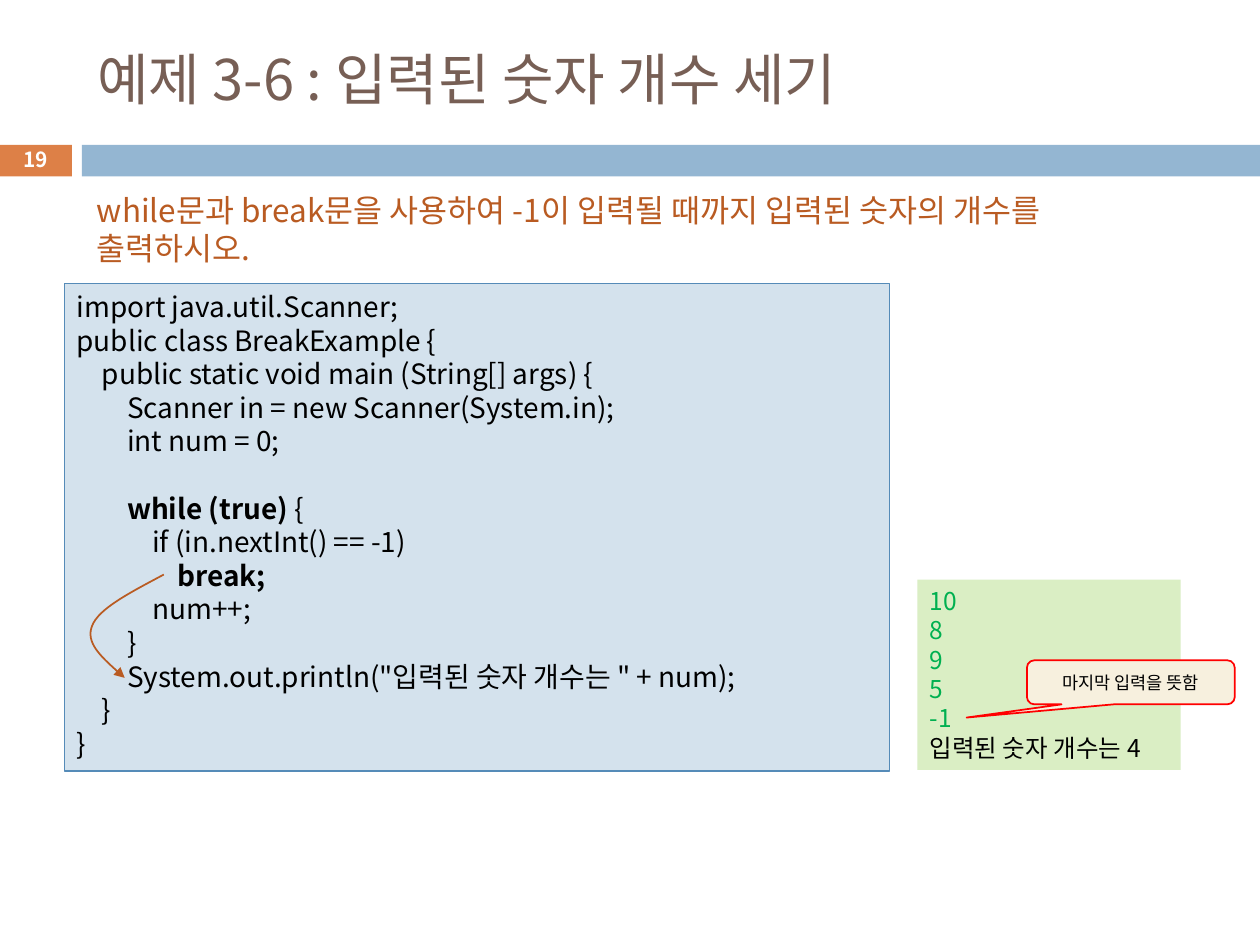
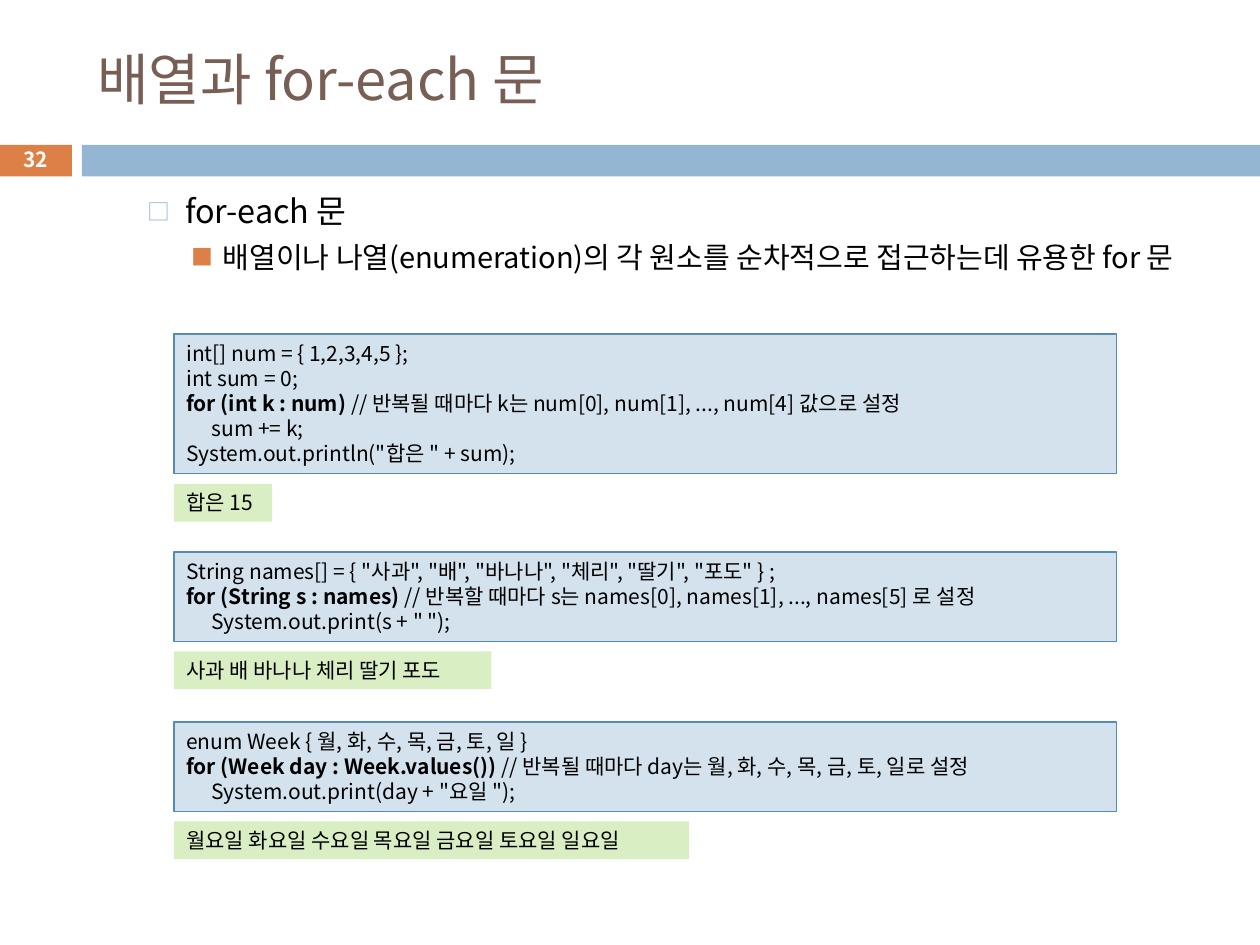
"""Builds two Java lecture slides on break and the for-each loop."""
from dataclasses import dataclass

from lxml import etree
from pptx import Presentation
from pptx import util as u
from pptx.dml import color
from pptx.enum import shapes, text
from pptx.oxml import ns

Inches = u.Inches


@dataclass(frozen=True)
class Theme:
    """Colours and type sizes of the deck."""
    font: str = "Noto Sans CJK KR"
    title: str = "775F55"
    orange: str = "DD8047"
    band: str = "94B6D2"
    accent: str = "B95B22"
    code_fill: str = "D4E2ED"
    code_line: str = "558BB8"
    output_fill: str = "DAEEC4"
    typed: str = "00B050"
    note_fill: str = "F7F0DE"
    note_line: str = "FF0000"
    black: str = "000000"
    white: str = "FFFFFF"
    title_size: float = 32
    task_size: float = 18
    heading_size: float = 18.5
    point_size: float = 16.6
    number_size: float = 11.9
    note_size: float = 10
    code_size: float = 16
    output_size: float = 14
    small_size: float = 12


def rgb(value):
    """Turn a hex string into a colour."""
    return color.RGBColor.from_string(value)


def apply(target, values):
    """Set attributes from a dict of format values."""
    for name, value in values.items():
        setattr(target, name, value)


def add_element(parent, tag, **attributes):
    """Append a drawing element with attributes."""
    return etree.SubElement(parent, ns.qn(tag), attributes)


class Deck:
    """Holds the theme and the current slide."""

    def __init__(self, theme):
        """Start an empty 4:3 presentation."""
        self.theme = theme
        self.presentation = Presentation()
        apply(self.presentation, {"slide_width": Inches(10), "slide_height": Inches(7.5)})

    def start_slide(self, title, number):
        """Add a slide with its bands, title and number."""
        theme = self.theme
        self.slide = self.presentation.slides.add_slide(self.presentation.slide_layouts[5])
        self.box((-0.01, 1.15, 0.58, 0.25), theme.orange)
        self.box((0.65, 1.15, 9.35, 0.25), theme.band)
        shape = self.slide.shapes.title
        self.place(shape, (0.67, 0.25, 8.92, 0.74))
        self.set_lines(shape, [title], theme.title_size, theme.title, anchor=text.MSO_ANCHOR.MIDDLE)
        self.label((-0.01, 1.13, 0.58, 0.27), [f"**{number}"], theme.number_size, theme.white,
                   text.PP_ALIGN.CENTER, text.MSO_ANCHOR.MIDDLE)

    def place(self, shape, area):
        """Move and size a shape in inches."""
        apply(shape, dict(zip(("left", "top", "width", "height"), map(Inches, area))))

    def set_lines(self, shape, lines, size, ink, align=text.PP_ALIGN.LEFT,
                  anchor=text.MSO_ANCHOR.TOP):
        """Fill a shape with lines, where ** switches bold."""
        frame = shape.text_frame
        apply(frame, {"word_wrap": True, "auto_size": text.MSO_AUTO_SIZE.NONE,
                      "vertical_anchor": anchor})
        for index, line in enumerate(lines):
            paragraph = frame.add_paragraph() if index else frame.paragraphs[0]
            paragraph.alignment = align
            for part, words in enumerate(line.split("**")):
                if words:
                    self.add_run(paragraph, words, size, ink, part % 2 == 1)
        return frame.paragraphs

    def add_run(self, paragraph, words, size, ink, bold=False):
        """Add one formatted run."""
        run = paragraph.add_run()
        run.text = words
        apply(run.font, {"name": self.theme.font, "size": u.Pt(size), "bold": bold})
        run.font.color.rgb = rgb(ink)
        add_element(run.font._element, "a:ea", typeface=self.theme.font)

    def label(self, area, lines, size, ink, *layout):
        """Add a text box."""
        shape = self.slide.shapes.add_textbox(*map(Inches, area))
        self.set_lines(shape, lines, size, ink, *layout)

    def box(self, area, fill, line=None, width=0.75, kind=shapes.MSO_SHAPE.RECTANGLE):
        """Add a flat preset shape."""
        shape = self.slide.shapes.add_shape(kind, *map(Inches, area))
        shape.shadow.inherit = False
        shape.fill.solid()
        shape.fill.fore_color.rgb = rgb(fill)
        if line:
            shape.line.color.rgb = rgb(line)
            shape.line.width = u.Pt(width)
        else:
            shape.line.fill.background()
        return shape

    def code(self, area, lines, size):
        """Add a code panel with tab stops every 0.2 inches."""
        shape = self.box(area, self.theme.code_fill, self.theme.code_line)
        for paragraph in self.set_lines(shape, lines, size, self.theme.black):
            stops = add_element(paragraph._p.get_or_add_pPr(), "a:tabLst")
            for step in range(1, 5):
                add_element(stops, "a:tab", pos=str(Inches(0.2 * step)), algn="l")

    def output(self, area, lines, size, typed=()):
        """Add a console panel with typed input above printed lines."""
        shape = self.box(area, self.theme.output_fill)
        paragraphs = self.set_lines(shape, [*typed, *lines], size, self.theme.black)
        for paragraph in paragraphs[:len(typed)]:
            paragraph.runs[0].font.color.rgb = rgb(self.theme.typed)

    def callout(self, area, words, adjustments):
        """Add a rounded speech callout."""
        theme = self.theme
        shape = self.box(area, theme.note_fill, theme.note_line, 1,
                         shapes.MSO_SHAPE.ROUNDED_RECTANGULAR_CALLOUT)
        for index, value in enumerate(adjustments):
            shape.adjustments[index] = value
        self.set_lines(shape, [words], theme.note_size, theme.black,
                       text.PP_ALIGN.CENTER, text.MSO_ANCHOR.MIDDLE)

    def curved_arrow(self, start, *controls):
        """Draw a chain of Bezier curves ending in an arrowhead."""
        builder = self.slide.shapes.build_freeform(*map(Inches, start), scale=1.0)
        builder.add_line_segments([tuple(map(Inches, point)) for point in controls], close=False)
        shape = builder.convert_to_shape()
        shape.shadow.inherit = False
        shape.fill.background()
        shape.line.color.rgb = rgb(self.theme.accent)
        shape.line.width = u.Pt(1)
        add_element(shape.line._get_or_add_ln(), "a:tailEnd", type="triangle")
        outline = next(shape._element.iter(ns.qn("a:path")))
        segments = outline.findall(ns.qn("a:lnTo"))
        for index in range(0, len(segments), 3):
            curve = add_element(outline, "a:cubicBezTo")
            for segment in segments[index:index + 3]:
                curve.append(segment[0])
                outline.remove(segment)

    def bullets(self, area, items):
        """Add bulleted lines, one level deeper each."""
        frame = self.slide.shapes.add_textbox(*map(Inches, area)).text_frame
        frame.word_wrap = True
        for index, (words, size, symbol, ink, percent, margin, indent, space) in enumerate(items):
            paragraph = frame.add_paragraph() if index else frame.paragraphs[0]
            properties = paragraph._p.get_or_add_pPr()
            apply(paragraph, {"level": index + 1, "space_before": u.Pt(space)})
            properties.set("marL", str(Inches(margin)))
            properties.set("indent", str(Inches(indent)))
            add_element(add_element(properties, "a:buClr"), "a:srgbClr", val=ink)
            add_element(properties, "a:buSzPct", val=str(percent * 1000))
            add_element(properties, "a:buFont", typeface=self.theme.font)
            add_element(properties, "a:buChar", char=symbol)
            self.add_run(paragraph, words, size, self.theme.black)


def build_break_slide(deck):
    """Show the break example with its console run."""
    theme = deck.theme
    deck.start_slide("예제 3-6 : 입력된 숫자 개수 세기", 19)
    deck.label((0.67, 1.47, 8.55, 0.71),
               ["while문과 break문을 사용하여 -1이 입력될 때까지 입력된 숫자의 개수를 출력하시오."],
               theme.task_size, theme.accent)
    deck.code((0.51, 2.25, 6.55, 3.87), [
        "import java.util.Scanner;",
        "public class BreakExample {",
        "\tpublic static void main (String[] args) {",
        "\t\tScanner in = new Scanner(System.in);",
        "\t\tint num = 0;",
        "\t\t",
        "\t\t**while (true) **{",
        "\t\t\tif (in.nextInt() == -1)",
        "\t\t\t\t**break;",
        "\t\t\tnum++;",
        "\t\t}",
        "\t\tSystem.out.println(\"입력된 숫자 개수는 \" + num);",
        "\t}",
        "}",
    ], theme.code_size)
    deck.output((7.28, 4.6, 2.09, 1.51), ["입력된 숫자 개수는 4"], theme.output_size,
                typed=("10", "8", "9", "5", "-1"))
    deck.callout((8.15, 5.24, 1.65, 0.35), "마지막 입력을 뜻함", (-0.79, 0.8, 0.17))
    deck.curved_arrow((1.3, 4.56), (1.04, 4.7), (0.78, 4.83), (0.73, 4.97),
                      (0.68, 5.1), (0.83, 5.24), (0.99, 5.38))


def build_for_each_slide(deck):
    """Show three for-each loops, each above its output."""
    theme = deck.theme
    deck.start_slide("배열과 for-each 문", 32)
    deck.bullets((0.67, 1.47, 8.92, 1.02), [
        ("for-each 문", theme.heading_size, "□", theme.band, 70, 0.7, -0.3, 0),
        ("배열이나 나열(enumeration)의 각 원소를 순차적으로 접근하는데 유용한 for 문",
         theme.point_size, "■", theme.orange, 75, 1, -0.25, 5),
    ])
    examples = [
        (2.65, 1.11, [
            "int[] num = { 1,2,3,4,5 };",
            "int sum = 0;",
            "**for (int k : num) **// 반복될 때마다 k는 num[0], num[1], ..., num[4] 값으로 설정",
            "\tsum += k;",
            "System.out.println(\"합은 \" + sum);",
        ], 0.78, "합은 15"),
        (4.38, 0.71, [
            "String names[] = { \"사과\", \"배\", \"바나나\", \"체리\", \"딸기\", \"포도\" } ;",
            "**for (String s : names) **// 반복할 때마다 s는 names[0], names[1], ..., names[5] 로 설정",
            "\tSystem.out.print(s + \" \");",
        ], 2.52, "사과 배 바나나 체리 딸기 포도"),
        (5.73, 0.71, [
            "enum Week { 월, 화, 수, 목, 금, 토, 일 }",
            "**for (Week day : Week.values()) **// 반복될 때마다 day는 월, 화, 수, 목, 금, 토, 일로 설정",
            "\tSystem.out.print(day + \"요일 \");",
        ], 4.09, "월요일 화요일 수요일 목요일 금요일 토요일 일요일"),
    ]
    for top, height, lines, width, result in examples:
        deck.code((1.38, top, 7.48, height), lines, theme.small_size)
        deck.output((1.38, top + height + 0.08, width, 0.3), [result], theme.small_size)


def main():
    """Build and save both slides."""
    deck = Deck(Theme())
    build_break_slide(deck)
    build_for_each_slide(deck)
    deck.presentation.save("out.pptx")


if __name__ == "__main__":
    main()
